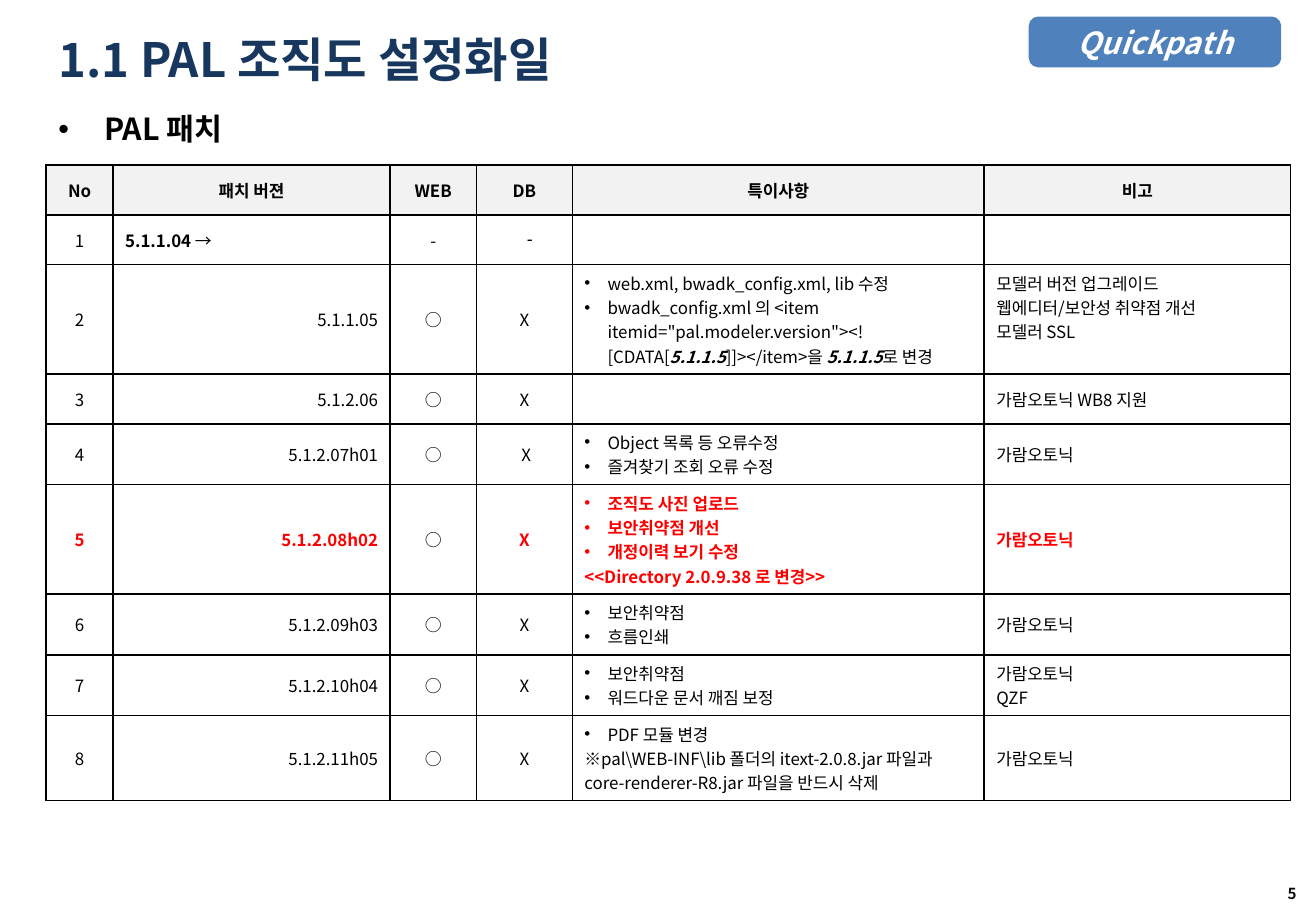
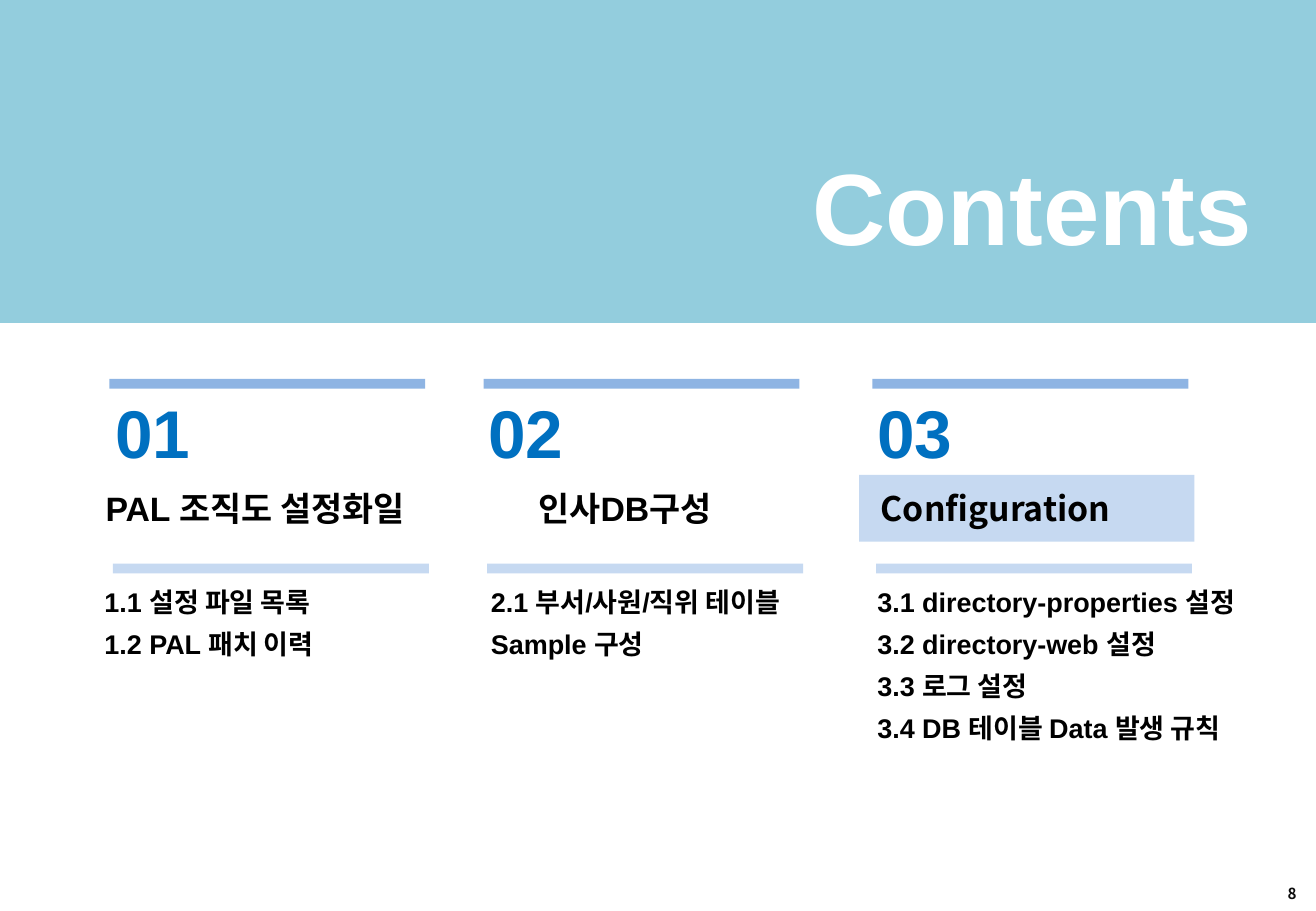
from dataclasses import dataclass

from lxml.etree import SubElement
from pptx import Presentation
from pptx.dml.color import RGBColor
from pptx.enum.shapes import MSO_SHAPE as SHAPE
from pptx.enum.text import MSO_ANCHOR as ANCHOR, MSO_AUTO_SIZE as AUTO, PP_ALIGN as ALIGN
from pptx.oxml.ns import qn
from pptx.util import Inches, Pt


@dataclass(frozen=True)
class Theme:
    """Colours, fonts and type sizes of the deck."""
    black: str = "000000"
    white: str = "FFFFFF"
    red: str = "FF0000"
    navy: str = "17375E"
    badge: str = "4F81BD"
    band: str = "93CDDD"
    bar: str = "8EB4E3"
    pale: str = "C6D9F1"
    number: str = "0070C0"
    header: str = "F2F2F2"
    footer: str = "0D0D0D"
    korean: str = "Noto Sans CJK KR"
    latin: str = "Arial"
    title: int = 28
    cover: int = 60
    section: int = 40
    heading: int = 20
    body: int = 18
    topic: int = 16
    cell: int = 10
    page: int = 9


theme = Theme()


def style(paragraph, size, color, font=theme.korean, bold=True, align=ALIGN.LEFT):
    """Align a paragraph and format all its runs."""
    paragraph.alignment = align
    for run in paragraph.runs:
        run.font.size, run.font.bold = Pt(size), bold
        run.font.color.rgb = RGBColor.from_string(color)
        run.font.name = font
        SubElement(run.font._element, qn("a:ea"), typeface=theme.korean)


def add_block(slide, left, top, width, height, fill, kind=SHAPE.RECTANGLE):
    """Draw a flat filled shape without an outline."""
    block = slide.shapes.add_shape(kind, Inches(left), Inches(top), Inches(width), Inches(height))
    block.shadow.inherit = False
    block.fill.solid()
    block.fill.fore_color.rgb = RGBColor.from_string(fill)
    block.line.fill.background()
    return block


deck = Presentation()
deck.slide_width, deck.slide_height = Inches(10.83), Inches(7.5)

# Patch history
patches = deck.slides.add_slide(deck.slide_layouts[1])
badge = add_block(patches, 8.48, 0.15, 2.05, 0.39, theme.badge, SHAPE.ROUNDED_RECTANGLE)
badge.line.color.rgb = RGBColor.from_string(theme.badge)
badge.line.width = Pt(2)
badge.text_frame.text = "Quickpath"
badge.text_frame.vertical_anchor = ANCHOR.MIDDLE
style(badge.text_frame.paragraphs[0], theme.body, theme.white, align=ALIGN.CENTER)
badge.text_frame.paragraphs[0].runs[0].font.italic = True

title = patches.shapes.title
title.left, title.top, title.width, title.height = map(Inches, (0.38, 0.21, 9.75, 0.55))
title.text_frame.text = "1.1 PAL 조직도 설정화일"
title.text_frame.auto_size = AUTO.NONE
style(title.text_frame.paragraphs[0], theme.title, theme.navy)

topic = patches.placeholders[1]
topic.left, topic.top, topic.width, topic.height = map(Inches, (0.38, 0.86, 9.91, 0.45))
topic.text_frame.text = "PAL 패치"
topic.text_frame.auto_size = AUTO.NONE
style(topic.text_frame.paragraphs[0], theme.body, theme.black)
topic_format = topic.text_frame.paragraphs[0]._p.get_or_add_pPr()
topic_format.set("marL", str(Inches(0.38)))
topic_format.set("indent", str(Inches(-0.38)))

# Asterisks enclose emphasised words; a leading bullet makes a list item.
rows = [
    ("No", "패치 버젼", "WEB", "DB", "특이사항", "비고"),
    ("1", "*5.1.1.04 *→", "-", "-", "", ""),
    ("2", "5.1.1.05", "○", "X",
     "• web.xml, bwadk_config.xml, lib 수정\n"
     "• bwadk_config.xml 의 <item itemid=\"pal.modeler.version\">"
     "<![CDATA[*5.1.1.5*]]></item>을 *5.1.1.5*로 변경",
     "모델러 버전 업그레이드\n웹에디터/보안성 취약점 개선\n모델러 SSL"),
    ("3", "5.1.2.06", "○", "X", "", "가람오토닉 WB8 지원"),
    ("4", "5.1.2.07h01", "○", " X",
     "• Object 목록 등 오류수정\n• 즐겨찾기 조회 오류 수정", "가람오토닉"),
    ("5", "5.1.2.08h02", "○", "X",
     "• 조직도 사진 업로드\n• 보안취약점 개선\n• 개정이력 보기 수정\n"
     "<<Directory 2.0.9.38 로 변경>>", "가람오토닉"),
    ("6", "5.1.2.09h03", "○", "X", "• 보안취약점\n• 흐름인쇄", "가람오토닉"),
    ("7", "5.1.2.10h04", "○", "X",
     "• 보안취약점\n• 워드다운 문서 깨짐 보정", "가람오토닉\nQZF"),
    ("8", "5.1.2.11h05", "○", "X",
     "• PDF 모듈 변경\n※pal\\WEB-INF\\lib 폴더의 itext-2.0.8.jar 파일과 "
     "core-renderer-R8.jar 파일을 반드시 삭제", "가람오토닉"),
]
widths = (0.55, 2.28, 0.71, 0.79, 3.39, 2.52)
aligns = (ALIGN.CENTER, ALIGN.RIGHT, ALIGN.CENTER, ALIGN.CENTER, ALIGN.LEFT, ALIGN.LEFT)
VERSION, WEB, DB, DETAILS, REMARKS = range(1, 6)
CURRENT = 5

history = patches.shapes.add_table(len(rows), len(widths), Inches(0.38), Inches(1.36),
                                   Inches(sum(widths)), Inches(0.41 * len(rows))).table
history.first_row = history.horz_banding = False
for column, width in zip(history.columns, widths):
    column.width = Inches(width)

for row, values in enumerate(rows):
    for col, value in enumerate(values):
        cell = history.cell(row, col)
        cell.vertical_anchor = ANCHOR.TOP if (row, col) == (2, REMARKS) else ANCHOR.MIDDLE
        for side in ("lnL", "lnR", "lnT", "lnB"):
            border = SubElement(cell._tc.get_or_add_tcPr(), qn(f"a:{side}"), w=str(Pt(1)))
            SubElement(SubElement(border, qn("a:solidFill")), qn("a:srgbClr"), val=theme.black)
        if row == 0:
            cell.fill.solid()
            cell.fill.fore_color.rgb = RGBColor.from_string(theme.header)
        else:
            cell.fill.background()

        current = row == CURRENT and col != WEB
        align = ALIGN.CENTER if row == 0 else aligns[col]
        if (row, col) == (1, VERSION):
            align = ALIGN.LEFT
        for index, line in enumerate(value.split("\n")):
            paragraph = cell.text_frame.paragraphs[0] if index == 0 else cell.text_frame.add_paragraph()
            pieces = line.removeprefix("• ").split("*")
            for piece in pieces:
                if piece:
                    paragraph.add_run().text = piece
            style(paragraph, theme.cell, theme.red if current else theme.black,
                  bold=row in (0, CURRENT) and col != WEB or row == 0, align=align)
            emphasised = [i % 2 == 1 for i, piece in enumerate(pieces) if piece]
            for run, strong in zip(paragraph.runs, emphasised):
                if strong:
                    run.font.bold, run.font.italic = True, col == DETAILS
            if line.startswith("•"):
                item = paragraph._p.get_or_add_pPr()
                item.set("marL", str(Inches(0.19)))
                item.set("indent", str(Inches(-0.19)))
                SubElement(item, qn("a:buFont"), typeface=theme.latin)
                SubElement(item, qn("a:buChar"), char="•")
            if not line:
                SubElement(paragraph._p, qn("a:endParaRPr"), sz=str(theme.cell * 100))

no_database = history.cell(1, DB).text_frame.paragraphs[0]
no_database.runs[0].font.name = theme.latin
no_database.runs[0].font.size = Pt(10.5)
no_database._p.get_or_add_pPr().set("indent", str(Inches(0.09)))
for row in history.rows:
    row.height = Inches(0.41)

# Contents
contents = deck.slides.add_slide(deck.slide_layouts[4])
add_block(contents, 7.07, 3.91, 2.76, 0.55, theme.pale)
add_block(contents, 0, 0, 10.83, 2.66, theme.band)

# Bar left, number left, heading (left, width, align, font), topics (left, width)
sections = [
    (0.9, 0.85, "PAL 조직도 설정화일", (0.77, 2.91, ALIGN.LEFT, theme.latin),
     (0.76, 2.66), ["1.1 설정 파일 목록", "1.2 PAL 패치 이력"]),
    (3.98, 3.92, "인사DB구성 ", (3.68, 2.99, ALIGN.CENTER, theme.latin),
     (3.94, 2.98), ["2.1 부서/사원/직위 테이블", "Sample 구성"]),
    (7.18, 7.12, "Configuration", (7.15, 2.91, ALIGN.LEFT, theme.korean),
     (7.12, 3.41), ["3.1 directory-properties 설정", "3.2 directory-web 설정",
                    "3.3 로그 설정", "3.4 DB 테이블 Data 발생 규칙"]),
]
for order, (bar_left, number_left, heading, place, topics_place, topics) in enumerate(sections, 1):
    add_block(contents, bar_left, 3.12, 2.6, 0.08, theme.bar)
    add_block(contents, bar_left + 0.03, 4.64, 2.6, 0.08, theme.pale)
    left, width, align, font = place
    labels = [
        (f"{order:02}", number_left, 3.28, 1.18, theme.section, theme.number, theme.latin, ALIGN.LEFT),
        (heading, left, 3.91, width, theme.heading, theme.black, font, align),
    ]
    for text, x, y, w, size, color, face, side in labels:
        label = contents.shapes.add_textbox(Inches(x), Inches(y), Inches(w), Inches(0.55)).text_frame
        label.word_wrap = True
        label.vertical_anchor = ANCHOR.MIDDLE
        label.text = text
        style(label.paragraphs[0], size, color, face, align=side)

    listing = contents.placeholders[order]
    listing.left, listing.width = map(Inches, topics_place)
    listing.top, listing.height = Inches(4.69), Inches(1.89)
    listing.text_frame.text = "\n".join(topics)
    listing.text_frame.auto_size = AUTO.NONE
    listing.text_frame.vertical_anchor = ANCHOR.TOP
    for paragraph in listing.text_frame.paragraphs:
        style(paragraph, theme.topic, theme.black, theme.latin)
        paragraph.line_spacing, paragraph.space_before = 1.3, Pt(0)
        plain = paragraph._p.get_or_add_pPr()
        plain.set("marL", "0")
        plain.set("indent", "0")
        SubElement(plain, qn("a:buNone"))

spare = contents.placeholders[4]._element
spare.getparent().remove(spare)

cover = contents.shapes.title
cover.left, cover.top, cover.width, cover.height = map(Inches, (0.65, 1.41, 9.75, 0.55))
cover.text_frame.text = "Contents"
cover.text_frame.auto_size = AUTO.NONE
cover.text_frame.vertical_anchor = ANCHOR.MIDDLE
style(cover.text_frame.paragraphs[0], theme.cover, theme.white, theme.latin, align=ALIGN.RIGHT)
contents.shapes._spTree.append(cover._element)  # in front of the band

# Page numbers
for slide, number in ((patches, "5"), (contents, "8")):
    page = slide.shapes.add_textbox(Inches(8.26), Inches(7.15), Inches(2.53), Inches(0.41)).text_frame
    page.word_wrap = True
    page.vertical_anchor = ANCHOR.MIDDLE
    page.margin_left = page.margin_right = Inches(0.12)
    page.margin_top = page.margin_bottom = Inches(0.06)
    page.text = number
    style(page.paragraphs[0], theme.page, theme.footer, align=ALIGN.RIGHT)

deck.save("out.pptx")
